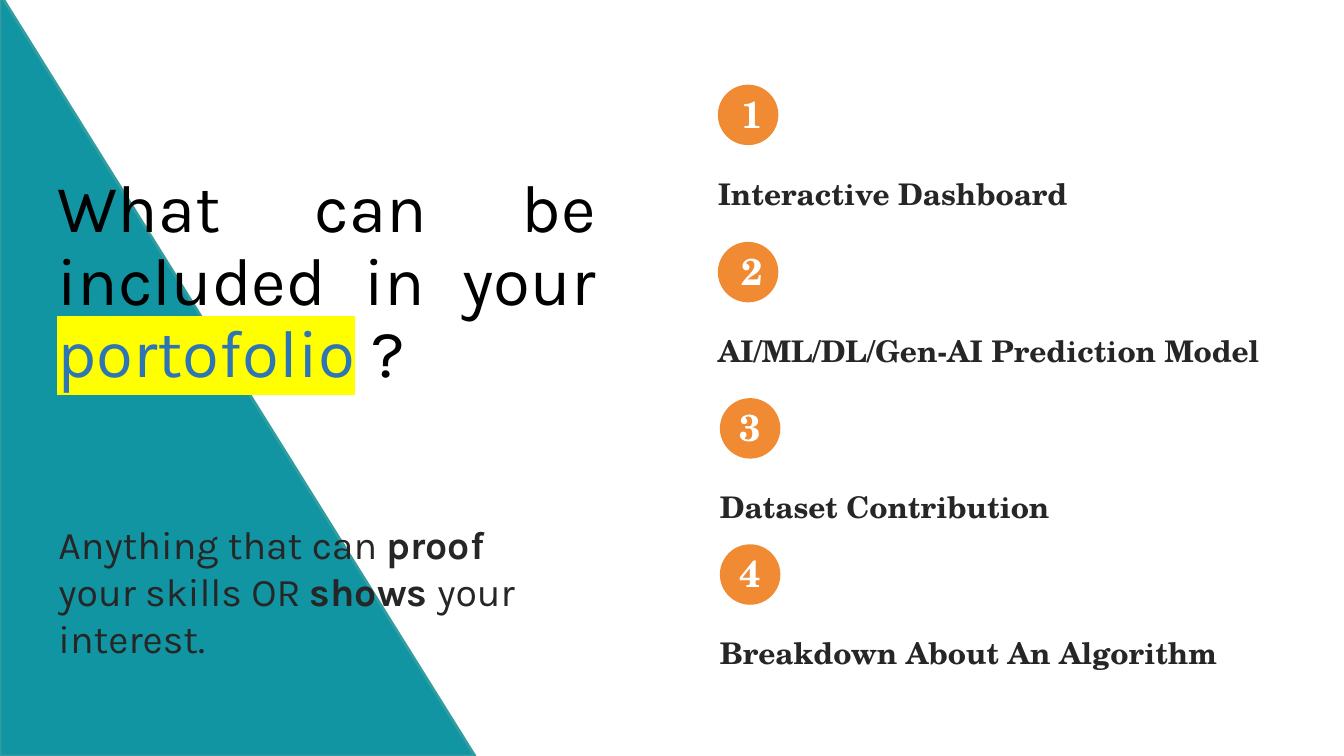
import pptx
import pptx.util
import pptx.dml.color
import pptx.enum.shapes
import pptx.enum.text
import lxml.etree
from pptx.util import Inches, Pt

COLORS = {
    "teal": "1195A3", "teal_edge": "329DA0", "orange": "F08B33",
    "black": "000000", "dark": "262626", "blue": "2E75B5",
    "yellow": "FFFF00", "white": "FFFFFF",
}
SANS, SERIF = "Karla", "TeX Gyre Schola"

TITLE = ["What can be included in your ", "portofolio", " ?"]
HIGHLIGHTED = "portofolio"
# (text, bold)
SUMMARY = [
    ("Anything that can ", False), ("proof ", True),
    ("your skills OR ", False), ("shows ", True), ("your interest.", False),
]
# (label, left and top of the circle, width of the text, indent of the number)
ITEMS = [
    ("Interactive Dashboard", 7.12, 0.84, 5.07, 0.24),
    ("AI/ML/DL/Gen-AI Prediction Model", 7.12, 2.4, 5.75, 0.24),
    ("Dataset Contribution", 7.14, 3.95, 5.07, 0.21),
    ("Breakdown About An Algorithm", 7.14, 5.4, 5.07, 0.21),
]
CIRCLE = 0.6


def color(name):
    return pptx.dml.color.RGBColor.from_string(COLORS[name])


def place(box, left, top, width, height):
    box.left, box.top = Inches(left), Inches(top)
    box.width, box.height = Inches(width), Inches(height)


def prepare_frame(box):
    """Set tight margins, wrapping and top anchoring; return the frame."""
    frame = box.text_frame
    frame.margin_left = frame.margin_right = frame.margin_bottom = 0
    frame.margin_top = Inches(0.01)
    frame.word_wrap = True
    frame.vertical_anchor = pptx.enum.text.MSO_ANCHOR.TOP
    frame.auto_size = pptx.enum.text.MSO_AUTO_SIZE.SHAPE_TO_FIT_TEXT
    return frame


def add_text_box(page, left, top, width, height):
    box = page.shapes.add_textbox(
        Inches(left), Inches(top), Inches(width), Inches(height))
    return prepare_frame(box)


def style(para, face, size, color_name, indent=0.01, bold=None):
    properties = para._p.get_or_add_pPr()
    properties.set("marL", str(Inches(indent)))
    properties.set("indent", "0")
    para.font.name, para.font.size = face, Pt(size)
    para.font.color.rgb = color(color_name)
    para.font.bold = bold


def highlight(span, color_name):
    fill = span.font._element.find(pptx.oxml.ns.qn("a:solidFill"))
    mark = lxml.etree.Element(pptx.oxml.ns.qn("a:highlight"))
    value = lxml.etree.SubElement(mark, pptx.oxml.ns.qn("a:srgbClr"))
    value.set("val", COLORS[color_name])
    fill.addnext(mark)


def add_triangle(page):
    triangle = page.shapes.add_shape(
        pptx.enum.shapes.MSO_SHAPE.RIGHT_TRIANGLE,
        0, Inches(-0.06), Inches(4.71), Inches(7.56))
    triangle.shadow.inherit = False
    triangle.fill.solid()
    triangle.fill.fore_color.rgb = color("teal")
    triangle.line.color.rgb = color("teal_edge")
    triangle.line.width = Pt(2)
    # The title placeholder belongs in front of the triangle
    page.shapes._spTree.insert(2, triangle._element)


def fill_title(page):
    title = page.shapes.title
    place(title, 0.57, 1.72, 5.34, 2.19)
    para = prepare_frame(title).paragraphs[0]
    para.alignment = pptx.enum.text.PP_ALIGN.JUSTIFY
    para.line_spacing = 0.9
    style(para, SANS, 48, "black", indent=0)
    for text in TITLE:
        span = para.add_run()
        span.text = text
        if text == HIGHLIGHTED:
            span.font.color.rgb = color("blue")
            highlight(span, "yellow")


def add_summary(page):
    para = add_text_box(page, 0.57, 5.15, 4.73, 1.42).paragraphs[0]
    style(para, SANS, 28, "dark")
    for text, bold in SUMMARY:
        span = para.add_run()
        span.text, span.font.bold = text, bold


def add_item(page, number, label, left, top, width, indent):
    circle = page.shapes.add_shape(
        pptx.enum.shapes.MSO_SHAPE.OVAL,
        Inches(left), Inches(top), Inches(CIRCLE), Inches(CIRCLE))
    circle.shadow.inherit = False
    circle.fill.solid()
    circle.fill.fore_color.rgb = color("orange")
    circle.line.fill.background()

    frame = add_text_box(page, left - 0.01, top + 0.05, width, 1.21)
    number_para, label_para = frame.paragraphs[0], frame.add_paragraph()
    number_para.text, label_para.text = str(number), label
    style(number_para, SERIF, 26.7, "white", indent, bold=True)
    label_para.space_before = Pt(28.4)
    style(label_para, SERIF, 21.3, "dark", bold=True)


def main():
    deck = pptx.Presentation()
    deck.slide_width, deck.slide_height = Inches(13.33), Inches(7.5)
    page = deck.slides.add_slide(deck.slide_layouts.get_by_name("Title Only"))
    add_triangle(page)
    fill_title(page)
    add_summary(page)
    for number, item in enumerate(ITEMS, start=1):
        add_item(page, number, *item)
    deck.save("out.pptx")


if __name__ == "__main__":
    main()
